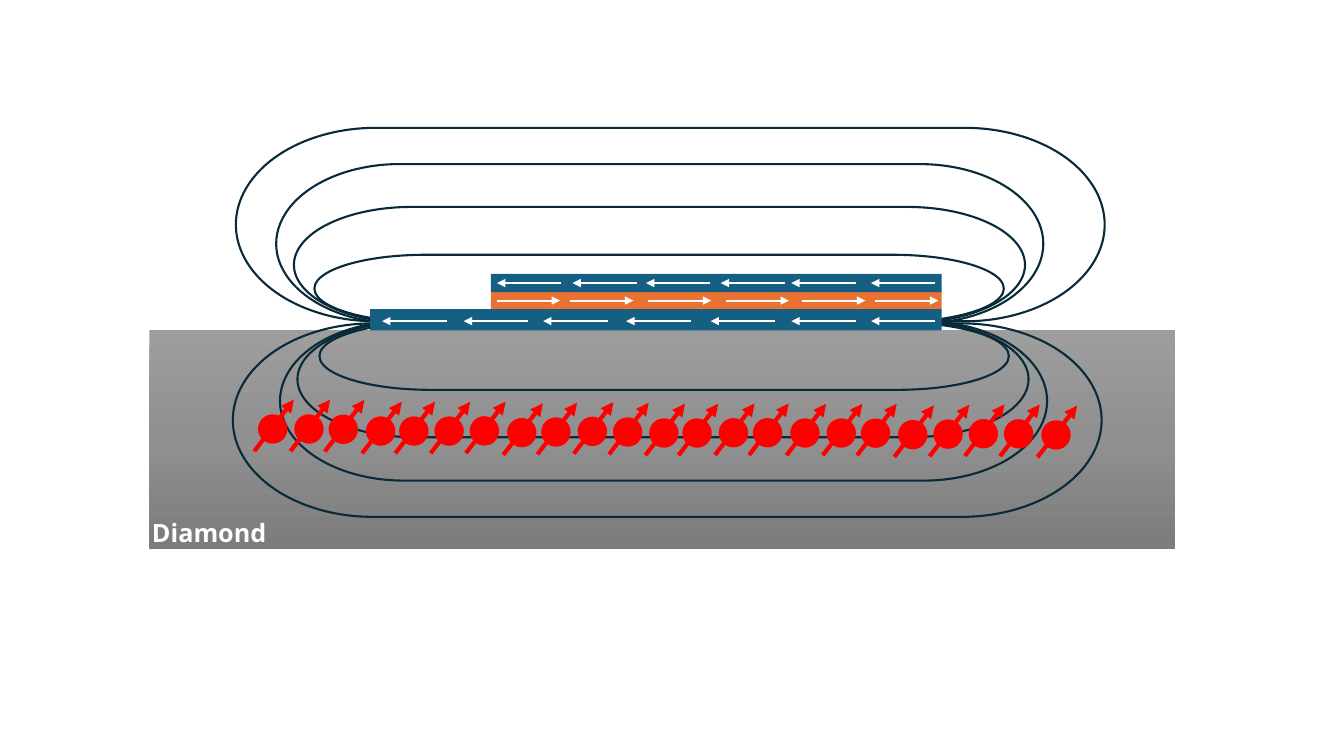
"""Draw a layered magnet with stray field loops over a diamond sensor slab."""
from copy import deepcopy

from pptx import Presentation
from pptx.dml.color import RGBColor
from pptx.enum import shapes, text
from pptx.oxml import ns, xmlchemy
from pptx.util import Pt

NAVY = RGBColor(0x09, 0x2A, 0x39)
BLUE = RGBColor(0x15, 0x60, 0x82)
ORANGE = RGBColor(0xE9, 0x71, 0x32)
RED = RGBColor(0xFF, 0, 0)
WHITE = RGBColor(0xFF, 0xFF, 0xFF)
GREYS = [(0, RGBColor(0x9D, 0x9D, 0x9D)), (0.5, RGBColor(0x90, 0x90, 0x90)),
         (1, RGBColor(0x7C, 0x7C, 0x7C))]

LABEL = "Diamond"
FONT = "Noto Sans"
SLAB = (106.6, 236, 733, 156.2)
UPPER = [(197.3, 117.2, 548, 113.8), (168.5, 91.3, 620.6, 138.2),
         (210, 147.8, 522.2, 82.8), (224.6, 182, 492.5, 48.2)]
LOWER = [(200, 229.5, 548, 113.8), (166.3, 231, 620.6, 138.2),
         (212.5, 229.5, 522.2, 82.8), (228.2, 230.3, 492.5, 48.2)]
BARS = [
    (ORANGE, (350.6, 208, 322, 13), 214.7, 45,
     [355, 407.3, 463, 518.5, 573, 625.2]),
    (BLUE, (350.6, 195.7, 322, 13), 202.2, -46,
     [668.2, 611.2, 560.8, 507.5, 455, 401]),
    (BLUE, (264.4, 220.8, 408.2, 15.2), 229.4, -46,
     [668.2, 611.2, 553.6, 493.3, 434, 377.2, 319]),
]
DOT = 21
SPINS = [
    (184.3, 295.9), (210.2, 295.9), (234.7, 296.1), (261.4, 297.4),
    (285.1, 297.4), (310.3, 297.4), (335.5, 297.3), (362.2, 298.5),
    (386.6, 298.1), (412.6, 297.6), (437.8, 298.1), (463.7, 298.8),
    (487.4, 298.8), (513.4, 298.6), (537.8, 298.6), (564.5, 298.8),
    (590.4, 298.8), (614.9, 298.9), (641.5, 300), (666.7, 299.6),
    (691.9, 299.3), (717.1, 299.4), (743.8, 300.2),
]


def place(host, kind, box, fill=None, line=None):
    shape = host.add_shape(kind, *map(Pt, box))
    shape.shadow.inherit = False
    if fill is None:
        shape.fill.background()
    else:
        shape.fill.solid()
        shape.fill.fore_color.rgb = fill
    if line is None:
        shape.line.fill.background()
    else:
        shape.line.color.rgb = line
        shape.line.width = Pt(1.5)
    return shape


def arrow(host, ends, color, width):
    link = host.add_connector(shapes.MSO_CONNECTOR.STRAIGHT, *map(Pt, ends))
    link.line.color.rgb = color
    link.line.width = Pt(width)
    head = xmlchemy.OxmlElement("a:tailEnd")
    head.set("type", "triangle")
    link.line._get_or_add_ln().append(head)
    link._element.spPr.append(xmlchemy.OxmlElement("a:effectLst"))


def loops(host, boxes):
    for box in boxes:
        place(host, shapes.MSO_SHAPE.FLOWCHART_TERMINATOR, box, line=NAVY)


def shade(shape):
    shape.fill.gradient()
    shape.fill.gradient_angle = 270
    first = shape._element.spPr.find(".//" + ns.qn("a:gs"))
    first.addnext(deepcopy(first))
    for stop, (spot, grey) in zip(shape.fill.gradient_stops, GREYS):
        stop.position = spot
        stop.color.rgb = grey


def label(host):
    box = host.add_textbox(Pt(101.5), Pt(365.8), Pt(163.4), Pt(29))
    frame = box.text_frame
    frame.word_wrap = True
    frame.auto_size = text.MSO_AUTO_SIZE.SHAPE_TO_FIT_TEXT
    frame.text = LABEL
    font = frame.paragraphs[0].runs[0].font
    font.name, font.size, font.bold = FONT, Pt(18), True
    font.color.rgb = WHITE


def main():
    deck = Presentation()
    deck.slide_width, deck.slide_height = Pt(960), Pt(540)
    host = deck.slides.add_slide(deck.slide_layouts[6]).shapes

    loops(host, UPPER)
    shade(place(host, shapes.MSO_SHAPE.RECTANGLE, SLAB, GREYS[0][1]))
    loops(host, LOWER)

    for color, box, y, step, starts in BARS:
        place(host, shapes.MSO_SHAPE.RECTANGLE, box, color)
        for x in starts:
            arrow(host, (x, y, x + step, y), WHITE, 1.5)

    label(host)

    for x, y in SPINS:
        spin = host.add_group_shape().shapes
        place(spin, shapes.MSO_SHAPE.OVAL, (x, y, DOT, DOT), RED)
        arrow(spin, (x - 2.7, y + 26.4, x + 25.6, y - 10.4), RED, 3)

    deck.save("out.pptx")


if __name__ == "__main__":
    main()
